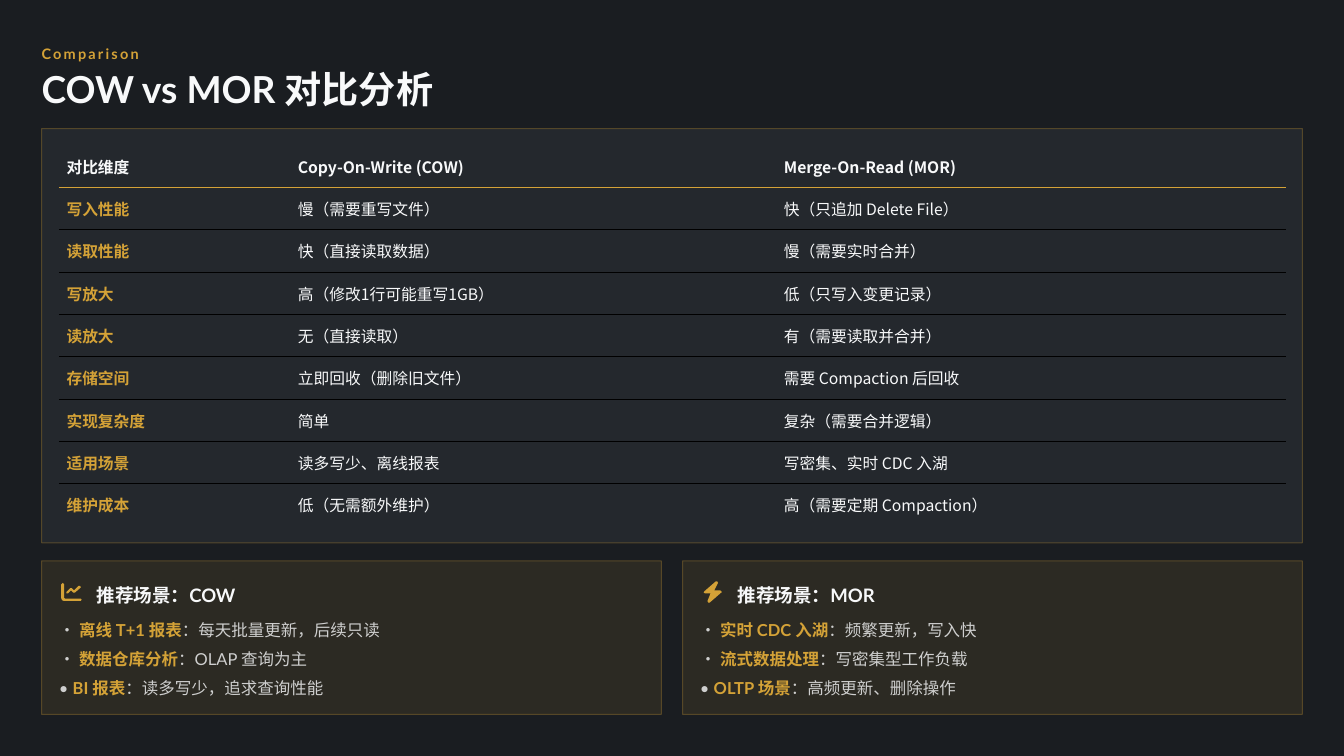
from dataclasses import dataclass
from typing import NamedTuple

from lxml.etree import SubElement
from pptx import Presentation
from pptx.dml.color import RGBColor
from pptx.enum.shapes import MSO_SHAPE
from pptx.enum.text import MSO_ANCHOR
from pptx.oxml import parse_xml
from pptx.oxml.ns import nsdecls, qn
from pptx.util import Pt

PX = 9144  # EMU per px, 100 px to the inch
COLORS = {"bg": "1A1D21", "gold": "D4A237", "white": "F8F9FA",
          "panel": "343A40", "rule": "000000"}
LATO, CJK = "Lato", "Noto Sans CJK SC"
NO_STYLE = "{2D5ABB26-0587-4C30-8999-92F81FD0307C}"

LABEL = {"size": Pt(13.8), "name": LATO, "bold": True}
TITLE = {"size": Pt(35.4), "name": LATO, "bold": True}
HEADING = {"size": Pt(17.7), "name": LATO, "bold": True}
BODY = {"size": Pt(15.7), "name": LATO, "bold": False}
STRONG = BODY | {"bold": True}
CELL = {"size": Pt(15), "name": CJK, "bold": False}
CELL_STRONG = CELL | {"bold": True}


class Box(NamedTuple):
    x: int
    y: int
    w: int
    h: int


class Piece(NamedTuple):
    text: str
    fmt: dict
    color: str = "white"
    alpha: int = 100


@dataclass
class Card:
    x: int
    heading_x: int
    heading: str
    icon: list[list[tuple[int, int]]]
    items: list[tuple[str, str]]


MARGIN, GAP = 55, 28
CARD_W, CARD_Y, CARD_H = 820, 742, 203
COLUMNS, ROW_H = (306, 643, 674), 56
ROWS = [
    ("对比维度", "Copy-On-Write (COW)", "Merge-On-Read (MOR)"),
    ("写入性能", "慢（需要重写文件）", "快（只追加 Delete File）"),
    ("读取性能", "快（直接读取数据）", "慢（需要实时合并）"),
    ("写放大", "高（修改1行可能重写1GB）", "低（只写入变更记录）"),
    ("读放大", "无（直接读取）", "有（需要读取并合并）"),
    ("存储空间", "立即回收（删除旧文件）", "需要 Compaction 后回收"),
    ("实现复杂度", "简单", "复杂（需要合并逻辑）"),
    ("适用场景", "读多写少、离线报表", "写密集、实时 CDC 入湖"),
    ("维护成本", "低（无需额外维护）", "高（需要定期 Compaction）"),
]
CHART_ICON = [
    [(83, 771), (85, 773), (85, 791), (86, 792), (107, 792), (108, 793),
     (107, 795), (85, 795), (82, 794), (81, 791), (81, 773)],
    [(106, 778), (107, 777), (106, 775), (104, 775), (98, 781), (95, 778),
     (93, 778), (88, 783), (88, 785), (90, 785), (94, 781), (97, 784), (99, 784)],
]
BOLT_ICON = [
    [(949, 769), (950, 771), (945, 781), (953, 781), (955, 783), (954, 784),
     (939, 797), (937, 797), (936, 795), (940, 785), (933, 785), (931, 784),
     (932, 782), (947, 769)],
]
CARDS = [
    Card(MARGIN, 128, "推荐场景：COW", CHART_ICON, [
        ("离线 T+1 报表", "：每天批量更新，后续只读"),
        ("数据仓库分析", "：OLAP 查询为主"),
        ("BI 报表", "：读多写少，追求查询性能")]),
    Card(MARGIN + CARD_W + GAP, 976, "推荐场景：MOR", BOLT_ICON, [
        ("实时 CDC 入湖", "：频繁更新，写入快"),
        ("流式数据处理", "：写密集型工作负载"),
        ("OLTP 场景", "：高频更新、删除操作")]),
]


def emu(box: Box) -> list[int]:
    return [v * PX for v in box]


def paint(fill, color: str, alpha: int = 100) -> None:
    """Make a fill solid, with its opacity in percent."""
    fill.solid()
    fill.fore_color.rgb = RGBColor.from_string(COLORS[color])
    if alpha < 100:
        for clr in fill._xPr.iter(qn("a:srgbClr")):
            SubElement(clr, qn("a:alpha"), val=str(alpha * 1000))


def add_piece(p, piece: Piece):
    r = p.add_run()
    r.text = piece.text
    for key, value in piece.fmt.items():
        setattr(r.font, key, value)
    paint(r.font.fill, piece.color, piece.alpha)
    SubElement(r._r.get_or_add_rPr(), qn("a:ea"), typeface=CJK)
    return r


def add_text(s, box: Box, pieces: list[Piece], spacing: float):
    tf = s.shapes.add_textbox(*emu(box)).text_frame
    frame = {"word_wrap": True, "vertical_anchor": MSO_ANCHOR.MIDDLE,
             "margin_left": 0, "margin_top": 0, "margin_right": 0, "margin_bottom": 0}
    for key, value in frame.items():
        setattr(tf, key, value)
    p = tf.paragraphs[0]
    p.line_spacing = spacing
    return [add_piece(p, piece) for piece in pieces]


def add_panel(s, box: Box, color: str, alpha: int) -> None:
    sp = s.shapes.add_shape(MSO_SHAPE.RECTANGLE, *emu(box))
    sp.shadow.inherit = False
    paint(sp.fill, color, alpha)
    sp.line.width = Pt(1)
    paint(sp.line.fill, "gold", 30)


def add_icon(s, contours: list[list[tuple[int, int]]]) -> None:
    first, *others = contours
    builder = s.shapes.build_freeform(*first[0], scale=PX)
    builder.add_line_segments(first[1:], close=True)
    for contour in others:
        builder.move_to(*contour[0])
        builder.add_line_segments(contour[1:], close=True)
    sp = builder.convert_to_shape()
    sp.shadow.inherit = False
    paint(sp.fill, "gold")
    sp.line.fill.background()


def border(cell, sides: dict[str, tuple[str, int]]) -> None:
    """Draw cell edges; sides maps T or B to a colour and a width in points."""
    tc_pr = cell._tc.get_or_add_tcPr()
    for i, (side, (color, width)) in enumerate(sides.items()):
        tc_pr.insert(i, parse_xml(
            f'<a:ln{side} {nsdecls("a")} w="{Pt(width)}"><a:solidFill>'
            f'<a:srgbClr val="{COLORS[color]}"/></a:solidFill></a:ln{side}>'))


def add_comparison(s, x: int, y: int) -> None:
    box = Box(x, y, sum(COLUMNS), ROW_H * len(ROWS))
    table = s.shapes.add_table(len(ROWS), len(COLUMNS), *emu(box)).table
    table.horz_banding = False
    table._tbl.tblPr.find(qn("a:tableStyleId")).text = NO_STYLE
    for column, width in zip(table.columns, COLUMNS):
        column.width = width * PX
    rules = [("gold", 2)] + [("rule", 1)] * (len(ROWS) - 2)
    for i, row in enumerate(ROWS):
        sides = {}
        if i > 0:
            sides["T"] = rules[i - 1]
        if i < len(rules):
            sides["B"] = rules[i]
        for j, text in enumerate(row):
            cell = table.cell(i, j)
            cell.vertical_anchor = MSO_ANCHOR.MIDDLE
            cell.fill.background()
            border(cell, sides)
            fmt = CELL_STRONG if i == 0 or j == 0 else CELL
            color = "gold" if i > 0 and j == 0 else "white"
            add_piece(cell.text_frame.paragraphs[0], Piece(text, fmt, color))


def add_card(s, card: Card) -> None:
    add_panel(s, Box(card.x, CARD_Y, CARD_W, CARD_H), "gold", 10)
    add_icon(s, card.icon)
    add_text(s, Box(card.heading_x, 764, 195, 38), [Piece(card.heading, HEADING)], 1.3)
    for i, (term, detail) in enumerate(card.items):
        add_text(s, Box(card.x + 23, 813 + round(38.5 * i), 786, 33), [
            Piece("• ", BODY, alpha=80),
            Piece(term, STRONG, "gold"),
            Piece(detail, BODY, alpha=80)], 1.3)


def main() -> None:
    prs = Presentation()
    prs.slide_width, prs.slide_height = 1778 * PX, 1000 * PX
    s = prs.slides.add_slide(prs.slide_layouts[6])
    paint(s.background.fill, "bg")
    label, = add_text(s, Box(MARGIN, 55, 1678, 27), [Piece("Comparison", LABEL, "gold")], 1.2)
    label._r.get_or_add_rPr().set("spc", "210")
    add_text(s, Box(MARGIN, 93, 1693, 55), [Piece("COW vs MOR 对比分析", TITLE)], 0.9)
    add_panel(s, Box(MARGIN, 170, 1668, 548), "panel", 40)
    add_comparison(s, 78, 192)
    for card in CARDS:
        add_card(s, card)
    prs.save("out.pptx")


if __name__ == "__main__":
    main()
